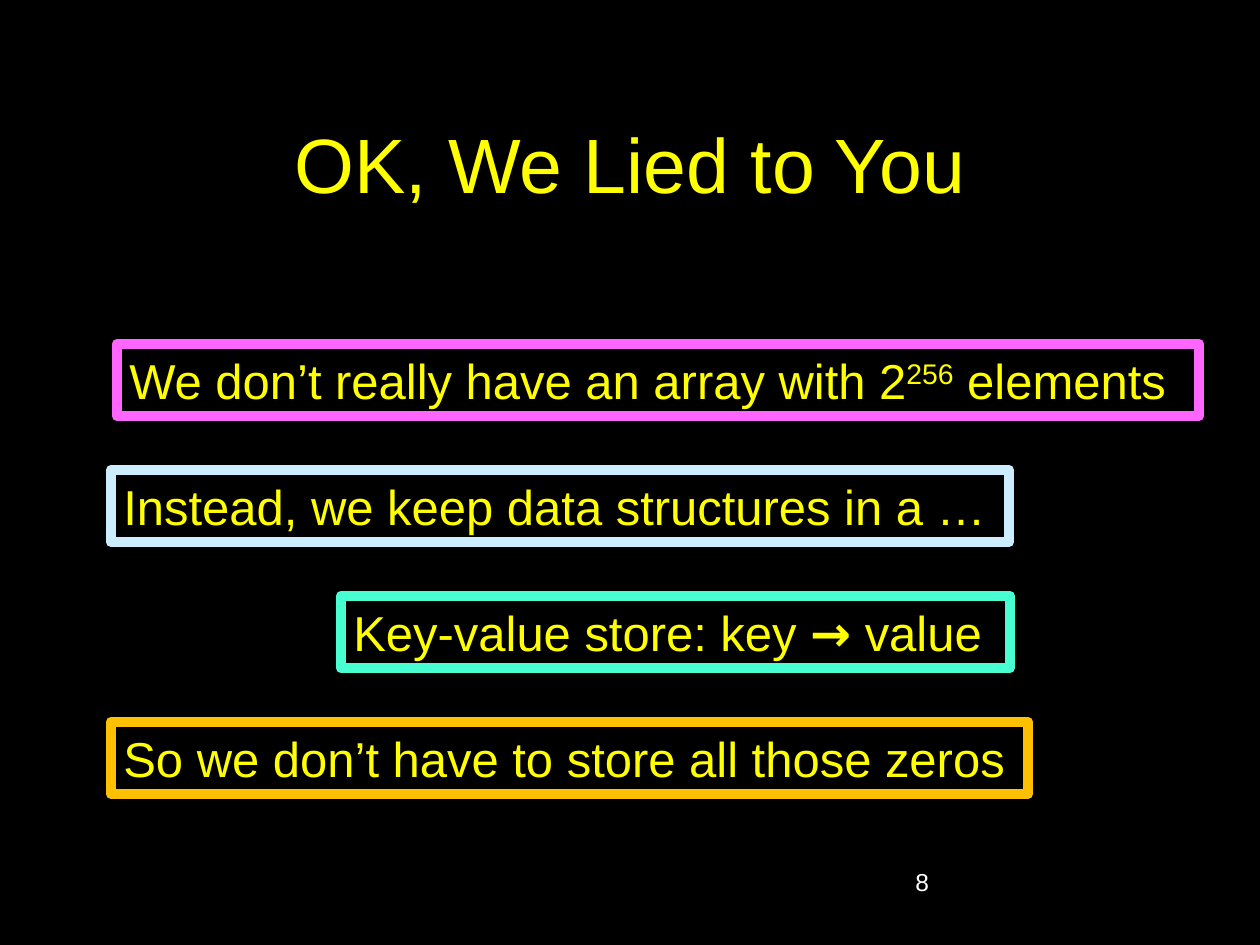
import dataclasses

import pptx
import pptx.dml.color
import pptx.enum.shapes
import pptx.enum.text
import pptx.util

PX = 914400 / 126
ALIGN = pptx.enum.text.PP_ALIGN
ANCHOR = pptx.enum.text.MSO_ANCHOR


@dataclasses.dataclass(frozen=True)
class Theme:
    background: str = "000000"
    text: str = "FFFF00"
    number: str = "FFFFFF"
    pink: str = "FF66FF"
    pale_blue: str = "CCECFF"
    mint: str = "47FFD1"
    orange: str = "FFC000"
    font: str = "Arial"
    arrow_font: str = "Comic Neue"
    title_size: int = 44
    body_size: int = 28
    number_size: int = 14
    border: int = 6


THEME = Theme()


def px(*lengths):
    return [round(length * PX) for length in lengths]


def rgb(color):
    return pptx.dml.color.RGBColor.from_string(color)


def style_paragraph(paragraph, size, color, alignment=ALIGN.LEFT):
    paragraph.alignment = alignment
    paragraph.font.name = THEME.font
    paragraph.font.size = pptx.util.Pt(size)
    paragraph.font.color.rgb = rgb(color)


def add_label(slide, box, text, size, color, alignment=ALIGN.LEFT, anchor=ANCHOR.TOP):
    frame = slide.shapes.add_textbox(*px(*box)).text_frame
    frame.word_wrap = True
    frame.vertical_anchor = anchor
    paragraph = frame.paragraphs[0]
    paragraph.text = text
    style_paragraph(paragraph, size, color, alignment)


def superscript(run):
    run.font._element.set("baseline", "30000")


def bold_arrow(run):
    run.font.name = THEME.arrow_font
    run.font.bold = True


def add_statement(slide, box, border_color, parts):
    """Add a framed line of text; parts are (text, run formatter or None)."""
    shape = slide.shapes.add_shape(
        pptx.enum.shapes.MSO_SHAPE.RECTANGLE, *px(*box))
    shape.shadow.inherit = False
    shape.fill.solid()
    shape.fill.fore_color.rgb = rgb(THEME.background)
    shape.line.color.rgb = rgb(border_color)
    shape.line.width = pptx.util.Pt(THEME.border)
    frame = shape.text_frame
    frame.word_wrap = False
    frame.auto_size = pptx.enum.text.MSO_AUTO_SIZE.SHAPE_TO_FIT_TEXT
    frame.vertical_anchor = ANCHOR.TOP
    paragraph = frame.paragraphs[0]
    style_paragraph(paragraph, THEME.body_size, THEME.text)
    for text, formatter in parts:
        run = paragraph.add_run()
        run.text = text
        if formatter:
            formatter(run)


def main():
    presentation = pptx.Presentation()
    presentation.slide_width, presentation.slide_height = px(1260, 945)
    slide = presentation.slides.add_slide(presentation.slide_layouts[6])
    slide.background.fill.solid()
    slide.background.fill.fore_color.rgb = rgb(THEME.background)

    add_label(slide, (95, 84, 1071, 158), "OK, We Lied to You",
              THEME.title_size, THEME.text, ALIGN.CENTER, ANCHOR.MIDDLE)

    statements = [
        (117, 1082, THEME.pink, [("We don’t really have an array with 2", None),
                                 ("256", superscript), (" elements", None)]),
        (111, 898, THEME.pale_blue,
         [("Instead, we keep data structures in a …", None)]),
        (341, 669, THEME.mint, [("Key-value store: key ", None),
                                ("→", bold_arrow), (" value", None)]),
        (111, 917, THEME.orange,
         [("So we don’t have to store all those zeros", None)]),
    ]
    top, pitch, height = 344, 126, 72
    for row, (left, width, color, parts) in enumerate(statements):
        add_statement(slide, (left, top + row * pitch, width, height), color, parts)

    add_label(slide, (903, 861, 262, 63), "8", THEME.number_size, THEME.number)
    presentation.save("out.pptx")


if __name__ == "__main__":
    main()
